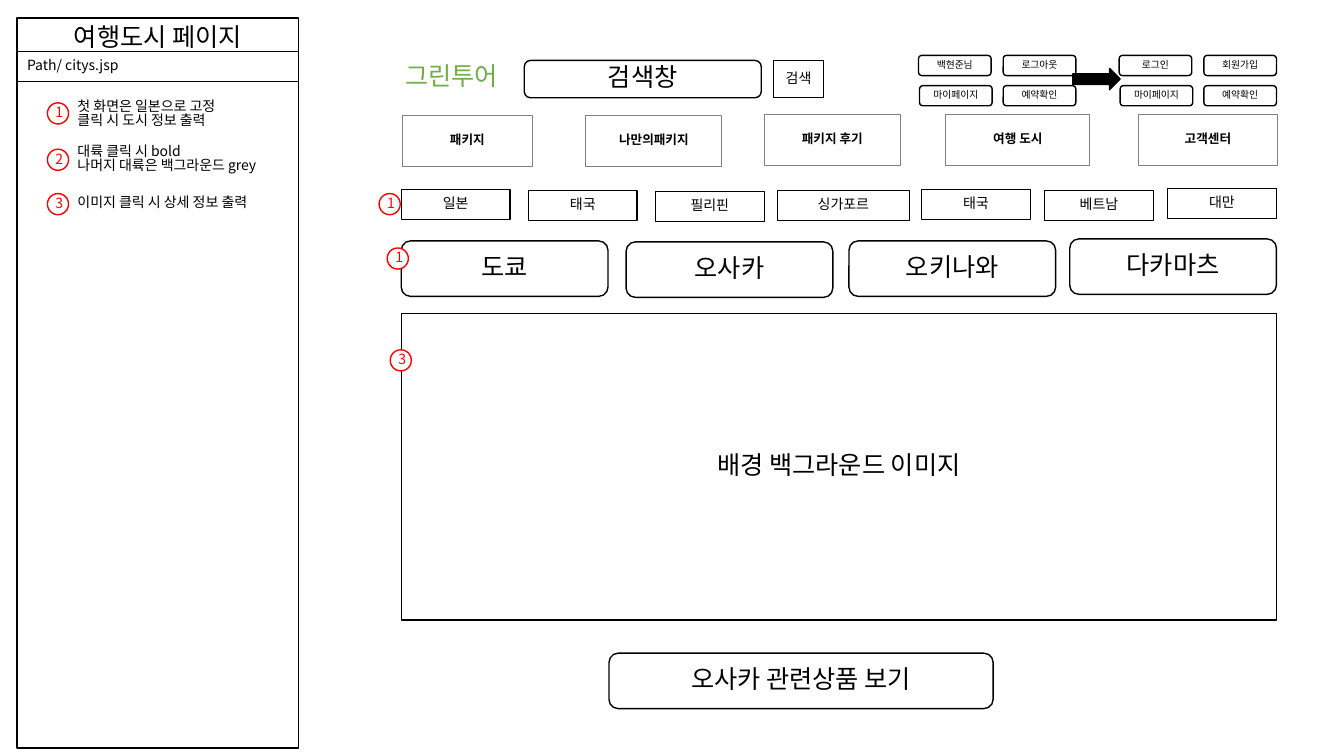
from dataclasses import dataclass

from pptx import Presentation
from pptx.dml.color import RGBColor
from pptx.enum.shapes import MSO_SHAPE
from pptx.enum.text import MSO_ANCHOR, MSO_AUTO_SIZE, PP_ALIGN
from pptx.oxml.ns import qn
from pptx.util import Pt

RECT, ROUND = MSO_SHAPE.RECTANGLE, MSO_SHAPE.ROUNDED_RECTANGLE
OVAL, ARROW = MSO_SHAPE.OVAL, MSO_SHAPE.RIGHT_ARROW
LEFT, CENTER = PP_ALIGN.LEFT, PP_ALIGN.CENTER
MIDDLE, GROW = MSO_ANCHOR.MIDDLE, MSO_AUTO_SIZE.SHAPE_TO_FIT_TEXT
PX = 9144  # EMU per px, 100 px to the inch


@dataclass(frozen=True)
class Theme:
    font: str = "Noto Sans CJK KR"
    black: str = "000000"
    white: str = "FFFFFF"
    grey: str = "808080"
    red: str = "FF0000"
    green: str = "70AD47"
    large: int = 18
    body: int = 10
    menu: int = 9
    small: int = 7
    leading: float = 0.85


THEME = Theme()


def px(*lengths):
    return [n * PX for n in lengths]


def write(tf, text, size, color=THEME.black, align=CENTER, bold=False):
    for i, line in enumerate(text.split("\n")):
        p = tf.paragraphs[0] if i == 0 else tf.add_paragraph()
        p.alignment = align
        p.line_spacing = THEME.leading
        r = p.add_run()
        r.text = line
        r.font.name = THEME.font
        r.font.size = Pt(size)
        r.font.bold = bold
        r.font.color.rgb = RGBColor.from_string(color)
        ea = r.font._element.makeelement(qn("a:ea"), {"typeface": THEME.font})
        r.font._element.append(ea)


def box(shapes, kind, x, y, w, h, text="", size=THEME.body, fill=THEME.white,
        line=THEME.black, color=THEME.black, align=CENTER):
    sp = shapes.add_shape(kind, *px(x, y, w, h))
    sp.shadow.inherit = False
    sp.fill.solid()
    sp.fill.fore_color.rgb = RGBColor.from_string(fill)
    sp.line.color.rgb = RGBColor.from_string(line)
    sp.line.width = Pt(1)
    if text:
        sp.text_frame.vertical_anchor = MIDDLE
        write(sp.text_frame, text, size, color, align)
    return sp


def menu_item(shapes, text, x, y, w):
    sp = box(shapes, RECT, x, y, w, 50, line=THEME.grey)
    sp.fill.background()
    sp.line.width = Pt(0.75)
    tf = sp.text_frame
    tf.word_wrap = False
    tf.vertical_anchor = MIDDLE
    tf.margin_left, tf.margin_right = px(4, 4)
    write(tf, text, THEME.menu, bold=True)


def badge(shapes, number, x, y):
    box(shapes, OVAL, x, y, 21, 21, number, line=THEME.red, color=THEME.red)


def label(shapes, text, x, y, w, h, size=THEME.body, color=THEME.black):
    tf = shapes.add_textbox(*px(x, y, w, h)).text_frame
    tf.word_wrap = True
    tf.auto_size = GROW
    write(tf, text, size, color, LEFT)


def account_buttons(shapes, left, right, top_texts):
    group = shapes.add_group_shape().shapes
    rows = (top_texts, ("마이페이지", "예약확인"))
    for row, texts in enumerate(rows):
        for text, x in zip(texts, (left + row, right)):
            box(group, ROUND, x, 55 + 30 * row, 72, 20, text, THEME.small)


def draw_description(shapes):
    # Side panel with page name, path and numbered notes
    box(shapes, RECT, 17, 70, 279, 672)
    box(shapes, RECT, 17, 18, 279, 41, "여행도시 페이지", THEME.large)
    box(shapes, RECT, 17, 51, 279, 30, "Path/ citys.jsp", align=LEFT)
    notes = (
        ("첫 화면은 일본으로 고정\n클릭 시 도시 정보 출력", 94, 179, 44, 102),
        ("대륙 클릭 시 bold\n나머지 대륙은 백그라운드 grey", 139, 221, 44, 148),
        ("이미지 클릭 시 상세 정보 출력", 190, 214, 27, 192),
    )
    for number, (text, y, w, h, badge_y) in enumerate(notes, 1):
        label(shapes, text, 67, y, w, h)
        badge(shapes, str(number), 47, badge_y)


def draw_header(shapes):
    # Site name, search and account buttons
    label(shapes, "그린투어", 392, 60, 123, 40, THEME.large, THEME.green)
    box(shapes, ROUND, 520, 60, 235, 37, "검색창", THEME.large)
    box(shapes, RECT, 767, 60, 50, 37, "검색")
    account_buttons(shapes, 911, 995, ("백현준님", "로그아웃"))
    account_buttons(shapes, 1110, 1194, ("로그인", "회원가입"))
    box(shapes, ARROW, 1064, 68, 47, 21, fill=THEME.black)

    # Main menu
    menu = shapes.add_group_shape().shapes
    for text, x, y, w in (("패키지", 399, 115, 129), ("나만의패키지", 581, 115, 135),
                          ("패키지 후기", 758, 114, 135), ("여행 도시", 938, 114, 143),
                          ("고객센터", 1129, 114, 138)):
        menu_item(menu, text, x, y, w)


def draw_content(shapes):
    # Country tabs
    tabs = shapes.add_group_shape().shapes
    for text, x, y, w in (("일본", 398, 188, 108), ("태국", 524, 189, 108),
                          ("필리핀", 650, 190, 108), ("싱가포르", 771, 189, 131),
                          ("태국", 914, 188, 108), ("베트남", 1036, 189, 108),
                          ("대만", 1158, 187, 108)):
        box(tabs, RECT, x, y, w, 30, text)

    # City buttons
    for text, x, y in (("도쿄", 398, 239), ("오사카", 621, 240),
                       ("오키나와", 842, 239), ("다카마츠", 1061, 237)):
        box(shapes, ROUND, x, y, 205, 55, text, THEME.large)

    # Background area and product link
    box(shapes, RECT, 398, 311, 868, 304, "배경 백그라운드 이미지", THEME.large)
    box(shapes, ROUND, 604, 648, 381, 55, "오사카 관련상품 보기", THEME.large)

    # Markers for the notes
    for number, x, y in (("1", 376, 192), ("1", 384, 246), ("3", 387, 347)):
        badge(shapes, number, x, y)


def main():
    prs = Presentation()
    prs.slide_width, prs.slide_height = px(1333, 750)
    s = prs.slides.add_slide(prs.slide_layouts[6])
    draw_description(s.shapes)
    draw_header(s.shapes)
    draw_content(s.shapes)
    prs.save("out.pptx")


if __name__ == "__main__":
    main()
